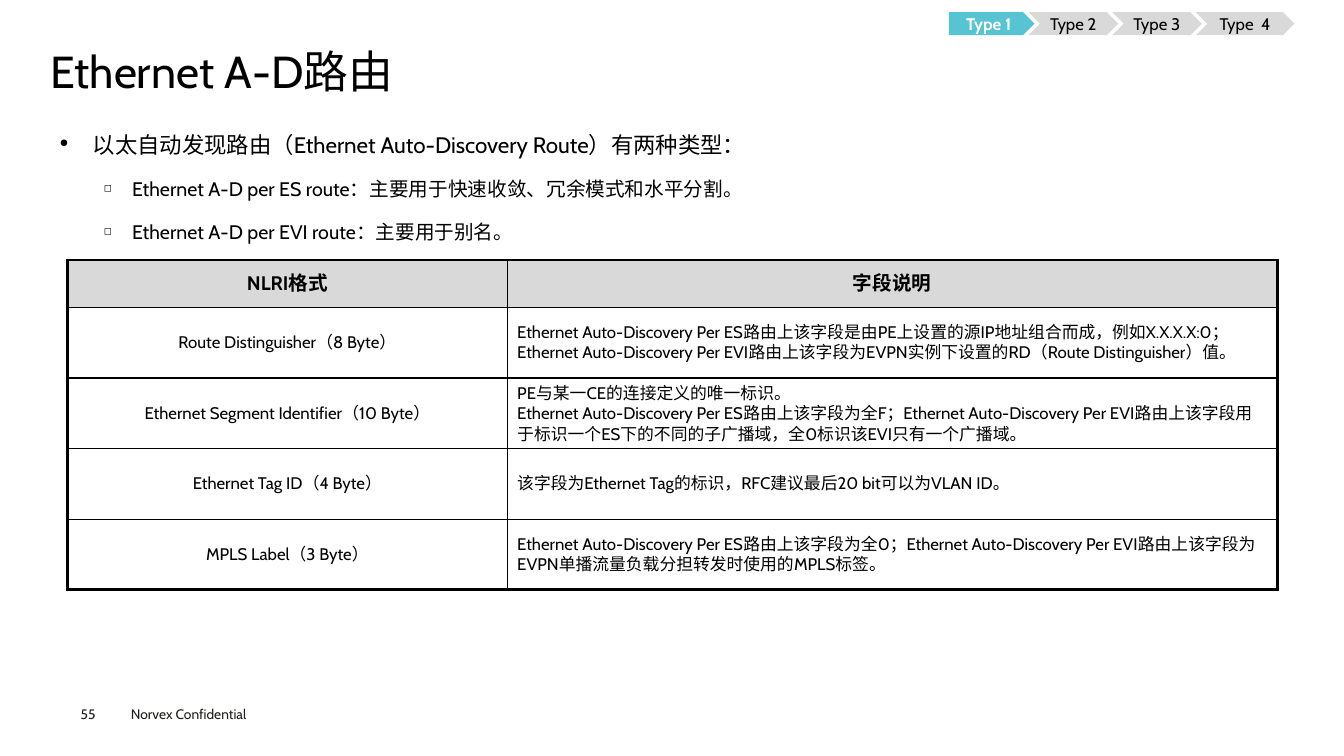
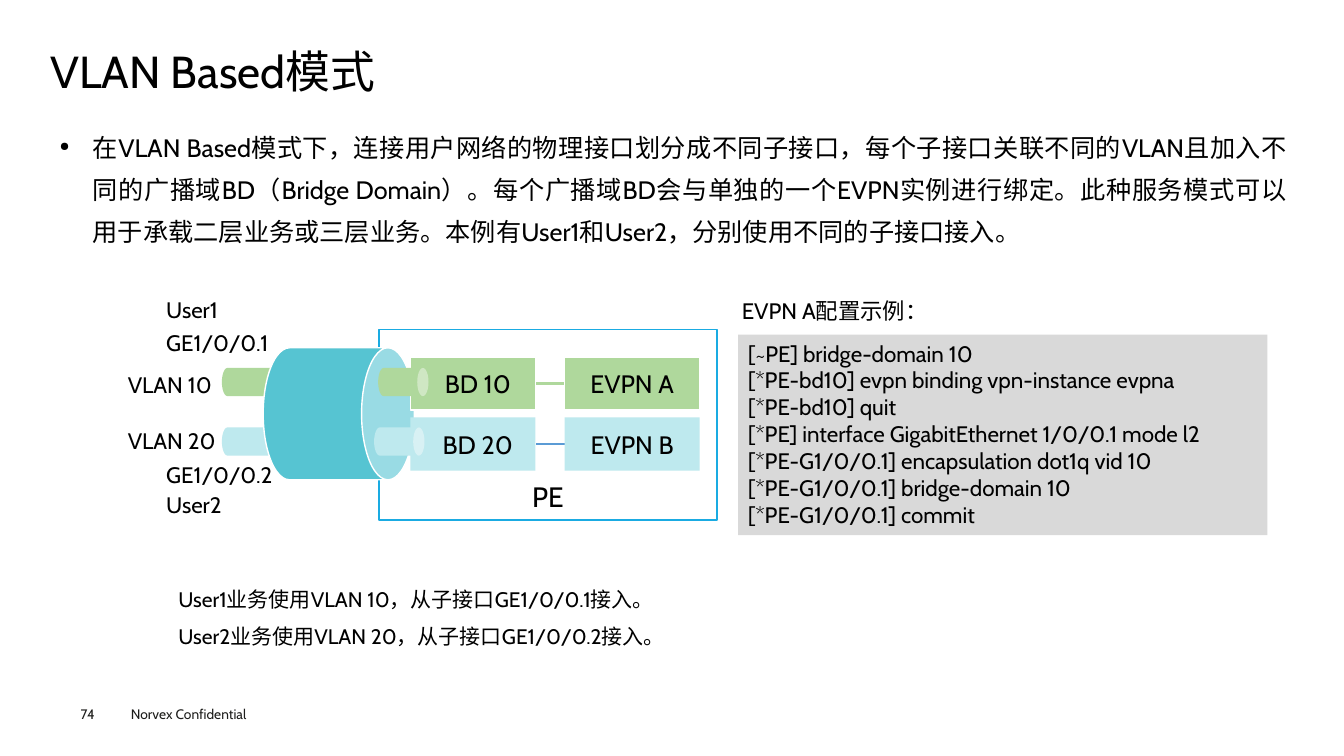
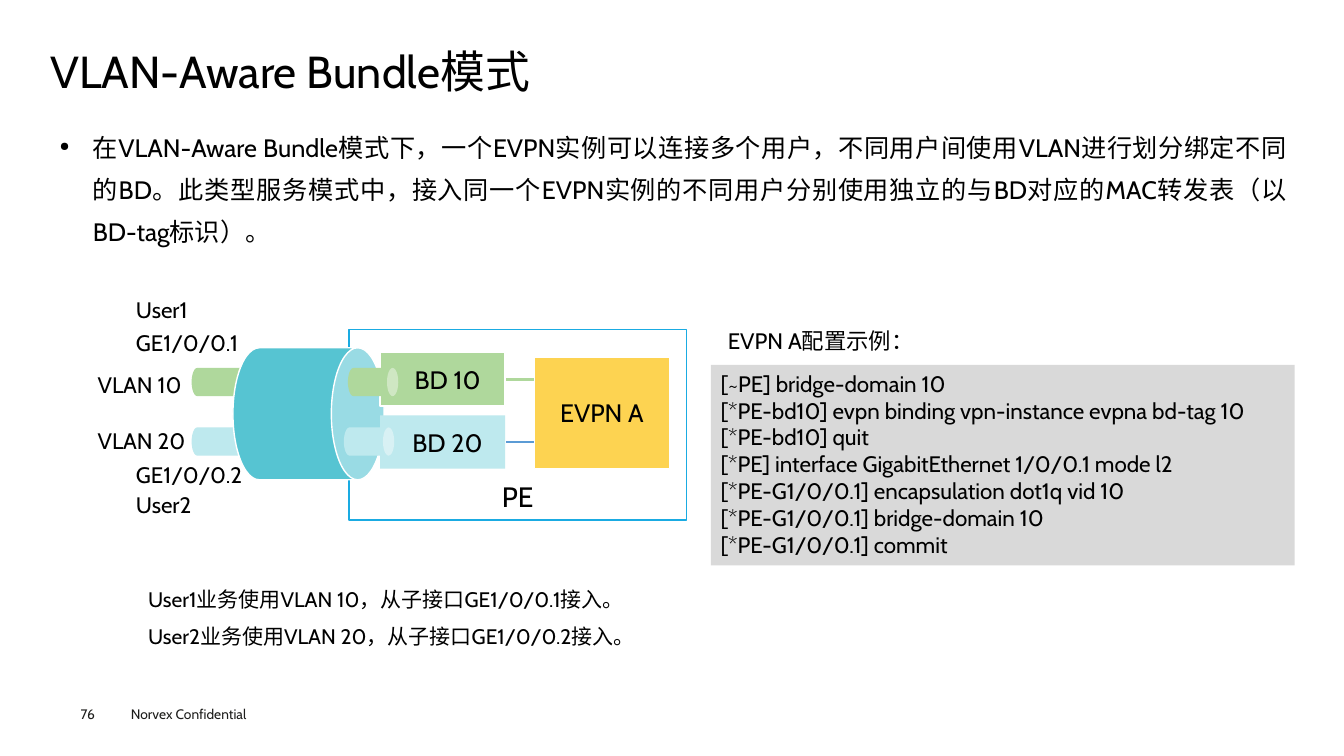
from dataclasses import dataclass

from pptx import Presentation
from pptx.dml.color import RGBColor
from pptx.enum.lang import MSO_LANGUAGE_ID
from pptx.enum.shapes import MSO_CONNECTOR, MSO_SHAPE
from pptx.enum.text import MSO_ANCHOR, PP_ALIGN
from pptx.oxml.xmlchemy import OxmlElement
from pptx.util import Inches, Pt


@dataclass(frozen=True)
class Theme:
    font: str = "Cabin"
    black: str = "000000"
    white: str = "FFFFFF"
    footer: str = "1D1D1B"
    gray: str = "D9D9D9"
    teal: str = "56C4D2"
    aqua: str = "BEE9EE"
    green: str = "AFD89C"
    yellow: str = "FDD351"
    frame: str = "1AABE2"
    blue: str = "5B9BD5"
    title_size: float = 32
    device_size: float = 20
    body_size: float = 18
    label_size: float = 16
    note_size: float = 15
    sub_size: float = 14
    small_size: float = 12
    footer_size: float = 9.8
    thin: float = 1
    link: float = 1.5
    thick: float = 2.25


THEME = Theme()
TEXT_INSETS = (0.1, 0.05, 0.1, 0.05)
NO_INSETS = (0, 0, 0, 0)
BODY_INSETS = (0.09, 0.04, 0.09, 0.04)


@dataclass(frozen=True)
class Box:
    left: float
    top: float
    width: float
    height: float

    def inner(self, left, top, width, height):
        return Box(self.left + left, self.top + top, width, height)

    def lengths(self):
        return [Inches(value) for value in (self.left, self.top, self.width, self.height)]


def rgb(color):
    return RGBColor.from_string(color)


def add_span(para, text, size, color=THEME.black, bold=False):
    span = para.add_run()
    span.text = text
    span.font.size = Pt(size)
    span.font.bold = bold
    span.font.color.rgb = rgb(color)
    span.font.name = THEME.font
    span.font.language_id = MSO_LANGUAGE_ID.SIMPLIFIED_CHINESE
    east_asian = OxmlElement("a:ea")
    east_asian.set("typeface", THEME.font)
    span.font._element.append(east_asian)


def add_para(frame, position):
    return frame.add_paragraph() if position else frame.paragraphs[0]


def write(frame, lines, size, color=THEME.black, bold=False, align=PP_ALIGN.LEFT, spacing=None):
    for position, line in enumerate(lines):
        para = add_para(frame, position)
        para.alignment = align
        para.line_spacing = spacing
        add_span(para, line, size, color, bold)


def set_insets(frame, insets):
    frame.margin_left, frame.margin_top, frame.margin_right, frame.margin_bottom = map(Inches, insets)


def add_text(page, box, lines, size, insets=TEXT_INSETS, wrap=True, **style):
    frame = page.shapes.add_textbox(*box.lengths()).text_frame
    frame.word_wrap = wrap
    set_insets(frame, insets)
    write(frame, lines, size, **style)


def add_block(page, kind, box, fill, line=None):
    shape = page.shapes.add_shape(kind, *box.lengths())
    shape.shadow.inherit = False
    shape.fill.solid()
    shape.fill.fore_color.rgb = rgb(fill)
    if line:
        shape.line.color.rgb = rgb(line)
        shape.line.width = Pt(THEME.thin)
    else:
        shape.line.fill.background()
    return shape


def add_labelled(page, kind, box, text, size, fill, line=None, insets=NO_INSETS,
                 color=THEME.black, bold=False):
    frame = add_block(page, kind, box, fill, line).text_frame
    frame.vertical_anchor = MSO_ANCHOR.MIDDLE
    set_insets(frame, insets)
    write(frame, [text], size, color, bold, PP_ALIGN.CENTER)


def add_pipe(page, box, fill, line=None):
    upright = box.inner((box.width - box.height) / 2, (box.height - box.width) / 2,
                        box.height, box.width)
    can = add_block(page, MSO_SHAPE.CAN, upright, fill, line)
    can.adjustments[0] = 0.4
    can.rotation = 90


def add_link(page, start, end, top, color):
    link = page.shapes.add_connector(
        MSO_CONNECTOR.STRAIGHT, Inches(start), Inches(top), Inches(end), Inches(top))
    link.line.color.rgb = rgb(color)
    link.line.width = Pt(THEME.link)
    link._element.spPr.append(OxmlElement("a:effectLst"))


def add_bullet(para, mark, indent, hanging):
    properties = para._p.get_or_add_pPr()
    properties.set("marL", str(Inches(indent)))
    properties.set("indent", str(-Inches(hanging)))
    for tag, key, value in (("a:buSzPct", "val", "50000"), ("a:buChar", "char", mark)):
        element = OxmlElement(tag)
        element.set(key, value)
        properties.append(element)


def add_body(page, box, lead, size, points=()):
    frame = page.shapes.add_textbox(*box.lengths()).text_frame
    frame.word_wrap = True
    set_insets(frame, BODY_INSETS)
    for position, text in enumerate((lead, *points)):
        para = add_para(frame, position)
        if position:
            add_bullet(para, "◻", 0.72, 0.28)
            para.space_before = Pt(7.2)
        else:
            add_bullet(para, "●", 0.33, 0.33)
        para.alignment = PP_ALIGN.JUSTIFY
        para.line_spacing = 1.4
        add_span(para, text, THEME.sub_size if position else size)


def start_page(deck, title, number):
    page = deck.slides.add_slide(deck.slide_layouts[6])
    add_text(page, Box(1.2, 6.95, 1.6, 0.27), ["Norvex Confidential"],
             THEME.footer_size, color=THEME.footer)
    add_text(page, Box(0.8, 7, 0.55, 0.16), [str(number)], THEME.footer_size,
             NO_INSETS, color=THEME.footer)
    add_text(page, Box(0.5, 0.49, 12.35, 0.53), [title], THEME.title_size, NO_INSETS, spacing=0.9)
    return page


def add_steps(page, box, steps, overlap=0.06):
    left = 0
    for position, (text, width) in enumerate(steps):
        current = position == 0
        add_labelled(
            page, MSO_SHAPE.PENTAGON if current else MSO_SHAPE.CHEVRON,
            box.inner(left, 0, width, box.height), text, THEME.small_size,
            THEME.teal if current else THEME.gray,
            color=THEME.white if current else THEME.black, bold=current)
        left += width - overlap


def set_borders(cell, widths):
    properties = cell._tc.get_or_add_tcPr()
    for side, width in zip("LRTB", widths):
        border = OxmlElement(f"a:ln{side}")
        border.set("w", str(Pt(width)))
        fill = OxmlElement("a:solidFill")
        color = OxmlElement("a:srgbClr")
        color.set("val", THEME.black)
        fill.append(color)
        border.append(fill)
        properties.append(border)


def add_field_table(page, box, columns, heights, rows):
    table = page.shapes.add_table(len(rows), len(columns), *box.lengths()).table
    table.horz_banding = False
    for column, width in zip(table.columns, columns):
        column.width = Inches(width)
    for row, height in zip(table.rows, heights):
        row.height = Inches(height)
    last_row, last_column = len(rows) - 1, len(columns) - 1
    for down, row in enumerate(rows):
        for across, lines in enumerate(row):
            cell = table.cell(down, across)
            header = down == 0
            edges = (across == 0, across == last_column, header, down == last_row)
            set_borders(cell, [THEME.thick if edge else THEME.thin for edge in edges])
            if header:
                cell.fill.solid()
                cell.fill.fore_color.rgb = rgb(THEME.gray)
            else:
                cell.fill.background()
            cell.vertical_anchor = MSO_ANCHOR.MIDDLE
            centred = header or across == 0
            write(cell.text_frame, lines, THEME.sub_size if header else THEME.small_size,
                  bold=header, align=PP_ALIGN.CENTER if centred else PP_ALIGN.LEFT)


def add_access_diagram(page, box, domain_tops, instances):
    lanes = [("10", THEME.green, THEME.white, THEME.green),
             ("20", THEME.aqua, None, THEME.blue)]
    pipe_tops = [0.76, 1.35]
    add_block(page, MSO_SHAPE.RECTANGLE, box.inner(2.59, 0.38, 3.35, 1.89), THEME.white, THEME.frame)
    for (number, fill, line, link), top in zip(lanes, pipe_tops):
        add_pipe(page, box.inner(1.03, top, 0.65, 0.28), fill)
    add_pipe(page, box.inner(1.44, 0.56, 1.5, 1.31), THEME.teal, THEME.white)
    for (number, fill, line, link), top in zip(lanes, domain_tops):
        domain = box.inner(2.9, top, 1.24, 0.53)
        add_labelled(page, MSO_SHAPE.RECTANGLE, domain, f"BD {number}", THEME.body_size,
                     fill, line, insets=(0.1, 0, 0, 0))
        add_link(page, box.left + 4.15, box.left + 4.43, domain.top + domain.height / 2, link)
    for text, top, height, fill, line in instances:
        add_labelled(page, MSO_SHAPE.RECTANGLE, box.inner(4.43, top, 1.34, height), text,
                     THEME.body_size, fill, line)
    for (number, fill, line, link), top, left in zip(lanes, pipe_tops, (2.58, 2.54)):
        add_pipe(page, box.inner(left, top, 0.5, 0.28), fill)
    add_text(page, box.inner(4.01, 1.82, 0.52, 0.44), ["PE"], THEME.device_size, wrap=False)
    labels = [("User1", 0.38, 0), ("GE1/0/0.1", 0.38, 0.33), ("VLAN 10", 0, 0.74),
              ("VLAN 20", 0, 1.3), ("GE1/0/0.2", 0.38, 1.64), ("User2", 0.38, 1.93)]
    for text, left, top in labels:
        add_text(page, box.inner(left, top, 1.61, 0.37), [text], THEME.label_size)
    notes = [f"User{user}业务使用VLAN {user}0，从子接口GE1/0/0.{user}接入。" for user in (1, 2)]
    add_text(page, box.inner(0.5, 2.75, 5.07, 0.86), notes, THEME.note_size, spacing=1.5)


def add_config(page, box, caption_shift, binding):
    add_text(page, box.inner(caption_shift, -0.42, 2.04, 0.37), ["EVPN A配置示例："], THEME.label_size)
    panel = add_block(page, MSO_SHAPE.RECTANGLE, box, THEME.gray)
    frame = panel.text_frame
    frame.vertical_anchor = MSO_ANCHOR.TOP
    set_insets(frame, TEXT_INSETS)
    write(frame, [
        "[~PE] bridge-domain 10",
        f"[*PE-bd10] evpn binding vpn-instance {binding}",
        "[*PE-bd10] quit",
        "[*PE] interface GigabitEthernet 1/0/0.1 mode l2",
        "[*PE-G1/0/0.1] encapsulation dot1q vid 10",
        "[*PE-G1/0/0.1] bridge-domain 10",
        "[*PE-G1/0/0.1] commit",
    ], THEME.label_size)


def build_route_page(deck):
    page = start_page(deck, "Ethernet A-D路由", 55)
    add_body(page, Box(0.5, 1.15, 12.35, 1.4),
             "以太自动发现路由（Ethernet Auto-Discovery Route）有两种类型：", THEME.label_size,
             ["Ethernet A-D per ES route：主要用于快速收敛、冗余模式和水平分割。",
              "Ethernet A-D per EVI route：主要用于别名。"])
    rows = [
        (["NLRI格式"], ["字段说明"]),
        (["Route Distinguisher（8 Byte）"],
         ["Ethernet Auto-Discovery Per ES路由上该字段是由PE上设置的源IP地址组合而成，例如X.X.X.X:0；"
          "Ethernet Auto-Discovery Per EVI路由上该字段为EVPN实例下设置的RD（Route Distinguisher）值。"]),
        (["Ethernet Segment Identifier（10 Byte）"],
         ["PE与某一CE的连接定义的唯一标识。",
          "Ethernet Auto-Discovery Per ES路由上该字段为全F；Ethernet Auto-Discovery Per EVI路由上该字段"
          "用于标识一个ES下的不同的子广播域，全0标识该EVI只有一个广播域。"]),
        (["Ethernet Tag ID（4 Byte）"],
         ["该字段为Ethernet Tag的标识，RFC建议最后20 bit可以为VLAN ID。"]),
        (["MPLS Label（3 Byte）"],
         ["Ethernet Auto-Discovery Per ES路由上该字段为全0；Ethernet Auto-Discovery Per EVI路由上该字段"
          "为EVPN单播流量负载分担转发时使用的MPLS标签。"]),
    ]
    add_field_table(page, Box(0.67, 2.58, 12, 3.27), [4.36, 7.64], [0.47] + [0.7] * 4, rows)
    add_steps(page, Box(9.41, 0.12, 3.44, 0.23),
              [("Type 1", 0.85), ("Type 2", 0.89), ("Type 3", 0.89), ("Type  4", 0.98)])


def build_mode_page(deck, title, number, lead, diagram, domain_tops, instances,
                    config, caption_shift, binding):
    page = start_page(deck, title, number)
    add_body(page, Box(0.5, 1.15, 12.35, 1.4), lead, THEME.body_size)
    add_access_diagram(page, diagram, domain_tops, instances)
    add_config(page, config, caption_shift, binding)


def main():
    deck = Presentation()
    deck.slide_width, deck.slide_height = Inches(13.33), Inches(7.5)
    build_route_page(deck)
    build_mode_page(
        deck, "VLAN Based模式", 74,
        "在VLAN Based模式下，连接用户网络的物理接口划分成不同子接口，每个子接口关联不同的VLAN且加入"
        "不同的广播域BD（Bridge Domain）。每个广播域BD会与单独的一个EVPN实例进行绑定。此种服务模式"
        "可以用于承载二层业务或三层业务。本例有User1和User2，分别使用不同的子接口接入。",
        Box(1.17, 2.89, 5.94, 3.61), [0.65, 1.25],
        [("EVPN A", 0.65, 0.53, THEME.green, THEME.white),
         ("EVPN B", 1.25, 0.53, THEME.aqua, None)],
        Box(7.32, 3.32, 5.25, 1.99), -0.06, "evpna")
    build_mode_page(
        deck, "VLAN-Aware Bundle模式", 76,
        "在VLAN-Aware Bundle模式下，一个EVPN实例可以连接多个用户，不同用户间使用VLAN进行划分绑定不"
        "同的BD。此类型服务模式中，接入同一个EVPN实例的不同用户分别使用独立的与BD对应的MAC转发表"
        "（以BD-tag标识）。",
        Box(0.87, 2.89, 5.94, 3.61), [0.61, 1.23],
        [("EVPN A", 0.65, 1.11, THEME.yellow, THEME.white)],
        Box(7.05, 3.62, 5.79, 1.99), 0.07, "evpna bd-tag 10")
    deck.save("out.pptx")


if __name__ == "__main__":
    main()
